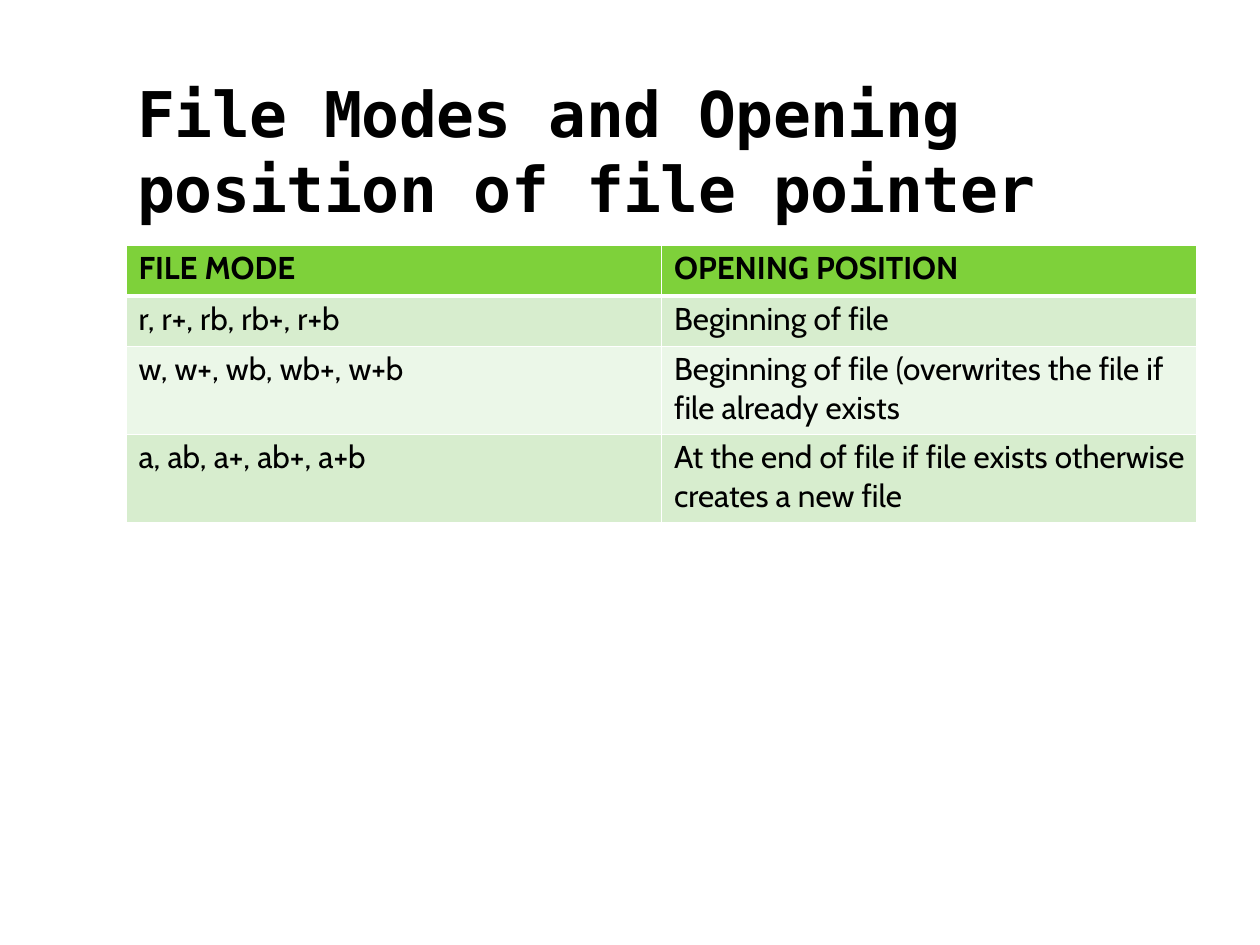
from lxml import etree
from pptx import Presentation
from pptx.dml.color import RGBColor
from pptx.enum.text import MSO_ANCHOR, PP_ALIGN
from pptx.oxml.ns import qn
from pptx.util import Inches, Pt

LEFT = PP_ALIGN.LEFT
MIDDLE = MSO_ANCHOR.MIDDLE
TOP = MSO_ANCHOR.TOP


def rgb(value):
    return RGBColor.from_string(value)


def add_border(cell, side, width):
    ln = etree.SubElement(cell._tc.get_or_add_tcPr(), qn(f"a:{side}"), w=str(Pt(width)))
    fill = etree.SubElement(ln, qn("a:solidFill"))
    etree.SubElement(fill, qn("a:srgbClr"), val="FFFFFF")


prs = Presentation()
prs.slide_width, prs.slide_height = Inches(10), Inches(7.5)
s = prs.slides.add_slide(prs.slide_layouts[5])

# Title
title = s.shapes.title
title.left, title.top = Inches(1.09), Inches(0.57)
title.width, title.height = Inches(8.12), Inches(1.23)
tf = title.text_frame
tf.word_wrap = True
tf.vertical_anchor = MIDDLE
tf.margin_left = tf.margin_right = tf.margin_bottom = 0
tf.margin_top = Inches(0.01)
p = tf.paragraphs[0]
p.alignment = LEFT
r = p.add_run()
r.text = "File Modes and Opening position of file pointer"
r._r.get_or_add_rPr().set("spc", "-30")
p.font.name = "DejaVu Sans Mono"
p.font.size = Pt(36)
p.font.bold = True
p.font.color.rgb = rgb("000000")

# Table: row height, fill, cell texts
rows = [
    (0.4, "7ED13A", ("FILE MODE", "OPENING POSITION")),
    (0.4, "D7EDCE", ("r, r+, rb, rb+, r+b", "Beginning of file")),
    (0.7, "EBF7E8", ("w, w+, wb, wb+, w+b",
                     "Beginning of file (overwrites the file if\nfile already exists")),
    (0.7, "D7EDCE", ("a, ab, a+, ab+, a+b",
                     "At the end of file if file exists otherwise creates a new file")),
]
table = s.shapes.add_table(len(rows), 2, Inches(1), Inches(1.95),
                           Inches(8.5), Inches(2.2)).table
for i, (height, fill, texts) in enumerate(rows):
    table.rows[i].height = Inches(height)
    for j, text in enumerate(texts):
        cell = table.cell(i, j)
        cell.text = text
        cell.vertical_anchor = TOP
        cell.margin_left = Inches(0.1)
        cell.margin_right = cell.margin_bottom = 0
        cell.margin_top = Inches(0.03)
        for p in cell.text_frame.paragraphs:
            p.alignment = LEFT
            p.font.name = "Cabin"
            p.font.size = Pt(18)
            p.font.bold = i == 0
            p.font.color.rgb = rgb("000000")
        # White rules, thicker below the header; borders precede the fill
        for side in ("lnL", "lnR", "lnT", "lnB"):
            add_border(cell, side, 3 if (i, side) in ((0, "lnB"), (1, "lnT")) else 1)
        cell.fill.solid()
        cell.fill.fore_color.rgb = rgb(fill)

prs.save("out.pptx")
